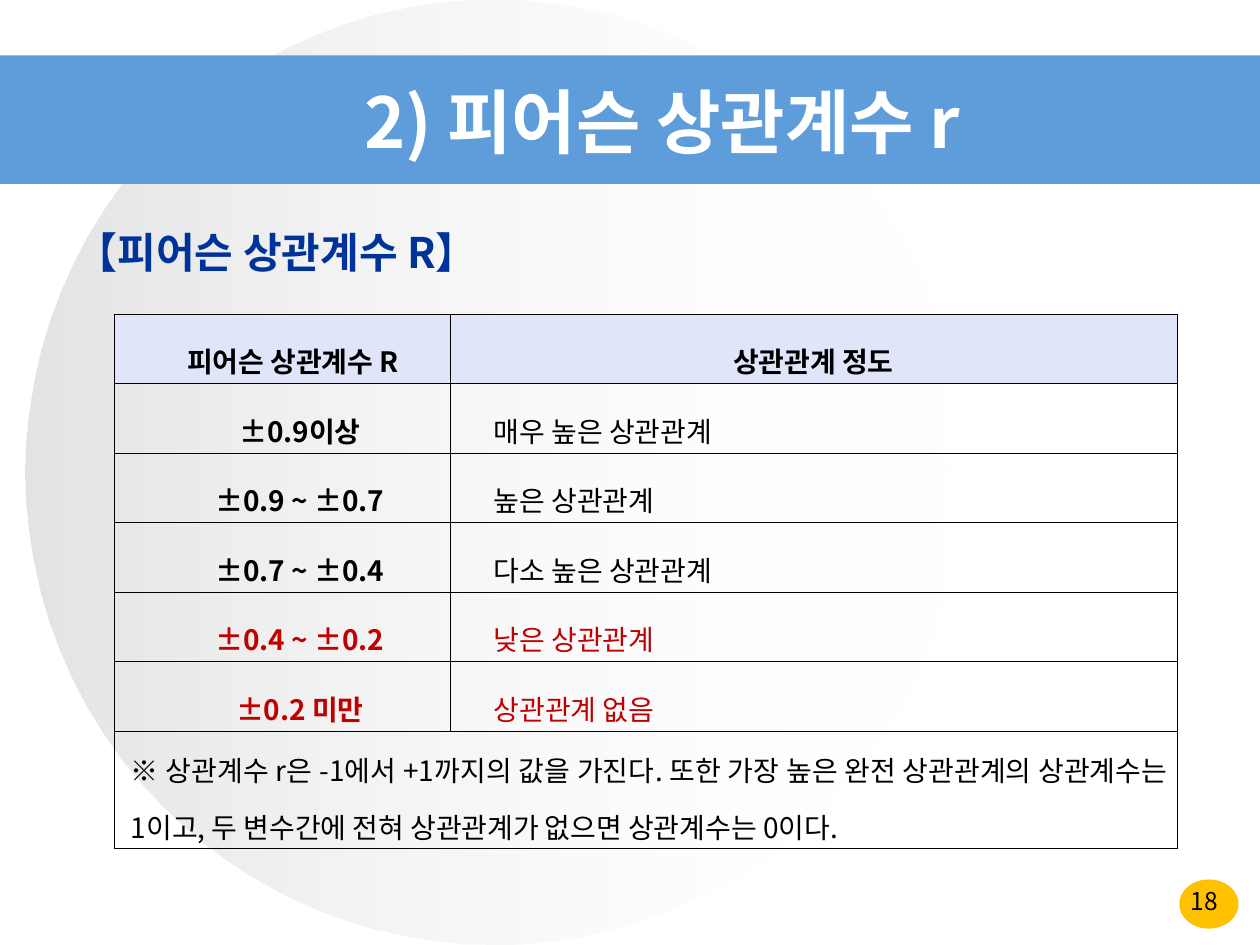
from lxml.etree import SubElement
from pptx import Presentation
from pptx.dml.color import RGBColor
from pptx.enum.shapes import MSO_SHAPE
from pptx.enum.text import MSO_ANCHOR, MSO_AUTO_SIZE, PP_ALIGN
from pptx.oxml.ns import qn
from pptx.util import Inches, Pt

FONT = "Noto Sans CJK KR"
COLORS = {
    "black": "000000", "white": "FFFFFF", "silver": "C0C0C0",
    "band": "5E9CDA", "badge": "FFC000", "heading": "003399",
    "header": "E0E5FA", "weak": "C00000",
}
LEVELS = [
    ("±0.9이상", "매우 높은 상관관계", "black"),
    ("±0.9 ~ ±0.7", "높은 상관관계", "black"),
    ("±0.7 ~ ±0.4", "다소 높은 상관관계", "black"),
    ("±0.4 ~ ±0.2", "낮은 상관관계", "weak"),
    ("±0.2 미만", "상관관계 없음", "weak"),
]
NOTE = ("※ 상관계수 r은 -1에서 +1까지의 값을 가진다. 또한 가장 높은 완전 상관관계의 "
        "상관계수는 1이고, 두 변수간에 전혀 상관관계가 없으면 상관계수는 0이다.")


def rgb(name):
    return RGBColor.from_string(COLORS[name])


def write(frame, text, size, color="black", bold=False, align=PP_ALIGN.LEFT,
          margin=0, indent=0, spacing=None):
    paragraph = frame.paragraphs[0]
    paragraph.alignment = align
    paragraph.line_spacing = spacing
    properties = paragraph._p.get_or_add_pPr()
    properties.set("marL", str(Inches(margin)))
    properties.set("indent", str(Inches(indent)))
    SubElement(properties, qn("a:buNone"))
    run = paragraph.add_run()
    run.text = text
    run.font.name = FONT
    run.font.size = Pt(size)
    run.font.bold = bold
    run.font.color.rgb = rgb(color)
    SubElement(run._r.get_or_add_rPr(), qn("a:ea"), typeface=FONT)
    return paragraph


def add_plain_shape(slide, kind, box, color):
    shape = slide.shapes.add_shape(kind, *map(Inches, box))
    shape.shadow.inherit = False
    shape.line.fill.background()
    shape.fill.solid()
    shape.fill.fore_color.rgb = rgb(color)
    return shape


def add_fading_disc(slide, box):
    disc = add_plain_shape(slide, MSO_SHAPE.OVAL, box, "silver")
    disc.fill.gradient()
    disc.fill.gradient_angle = 0
    for stop, position, color, alpha in zip(
            disc.fill.gradient_stops, (0, 1), ("silver", "white"), (44, 0)):
        stop.position = position
        stop.color.rgb = rgb(color)
        for node in stop._gs.iter(qn("a:srgbClr")):
            SubElement(node, qn("a:alpha"), val=str(alpha * 1000))


def place_on_top(slide, placeholder, box):
    placeholder.left, placeholder.top, placeholder.width, placeholder.height = map(Inches, box)
    slide.shapes._spTree.append(placeholder._element)
    frame = placeholder.text_frame
    frame.word_wrap = True
    frame.auto_size = MSO_AUTO_SIZE.NONE
    return frame


def add_page_number(slide, number, box):
    frame = slide.shapes.add_textbox(*map(Inches, box)).text_frame
    frame.word_wrap = True
    write(frame, number, 14, align=PP_ALIGN.CENTER)


def outline_cell(cell):
    properties = cell._tc.get_or_add_tcPr()
    for position, side in enumerate(("a:lnL", "a:lnR", "a:lnT", "a:lnB")):
        border = SubElement(properties, qn(side), w=str(Pt(0.28)))
        fill = SubElement(border, qn("a:solidFill"))
        SubElement(fill, qn("a:srgbClr"), val=COLORS["black"])
        properties.insert(position, border)


def style_cell(cell, header):
    cell.vertical_anchor = MSO_ANCHOR.MIDDLE
    cell.margin_left = cell.margin_right = Inches(0.07)
    cell.margin_top = cell.margin_bottom = Inches(0.02)
    if header:
        cell.fill.solid()
        cell.fill.fore_color.rgb = rgb("header")
    else:
        cell.fill.background()
    outline_cell(cell)


def add_level_table(slide, left, top, widths, row_height, note_height):
    count = len(LEVELS) + 2
    height = row_height * (count - 1) + note_height
    table = slide.shapes.add_table(
        count, len(widths), *map(Inches, (left, top, sum(widths), height))).table
    table.first_row = table.horz_banding = False
    for column, width in zip(table.columns, widths):
        column.width = Inches(width)
    for row in table.rows:
        row.height = Inches(row_height)
    table.rows[count - 1].height = Inches(note_height)
    for index, row in enumerate(table.rows):
        for cell in row.cells:
            style_cell(cell, header=index == 0)

    for column, (label, margin) in enumerate((("피어슨 상관계수 R", 0.17), ("상관관계 정도", 0))):
        write(table.cell(0, column).text_frame, label, 16, bold=True,
              align=PP_ALIGN.CENTER, margin=margin, spacing=1.6)
    for index, (interval, degree, color) in enumerate(LEVELS, 1):
        write(table.cell(index, 0).text_frame, interval, 16, color, True,
              PP_ALIGN.CENTER, 0.28, spacing=1.6)
        write(table.cell(index, 1).text_frame, degree, 16, color, False,
              PP_ALIGN.JUSTIFY, 0.28, spacing=1.6)
    note = table.cell(count - 1, 0)
    note.merge(table.cell(count - 1, 1))
    write(note.text_frame, NOTE, 16, align=PP_ALIGN.JUSTIFY, margin=0.06, spacing=1.4)


def main():
    deck = Presentation()
    deck.slide_width, deck.slide_height = Inches(10), Inches(7.5)
    slide = deck.slides.add_slide(deck.slide_layouts[1])
    title, body = slide.placeholders[0], slide.placeholders[1]

    add_plain_shape(slide, MSO_SHAPE.OVAL, (9.36, 6.98, 0.47, 0.39), "badge")
    add_fading_disc(slide, (0.2, 0, 7.44, 7.5))
    add_plain_shape(slide, MSO_SHAPE.RECTANGLE, (0, 0.44, 10, 1.02), "band")
    add_page_number(slide, "18", (9.12, 6.98, 0.88, 0.29))

    heading = write(place_on_top(slide, body, (0.5, 1.75, 9, 4.95)),
                    "【피어슨 상관계수 R】", 24, "heading", True, margin=0.38, indent=-0.38)
    heading.space_before = Pt(4.8)
    add_level_table(slide, 0.91, 2.49, (2.66, 5.77), 0.41, 0.67)

    title_frame = place_on_top(slide, title, (0.51, 0.58, 9.49, 0.75))
    title_frame.vertical_anchor = MSO_ANCHOR.MIDDLE
    write(title_frame, "2) 피어슨 상관계수 r", 40, "white", True,
          PP_ALIGN.CENTER, 0.94, -0.94)
    deck.save("out.pptx")


if __name__ == "__main__":
    main()
